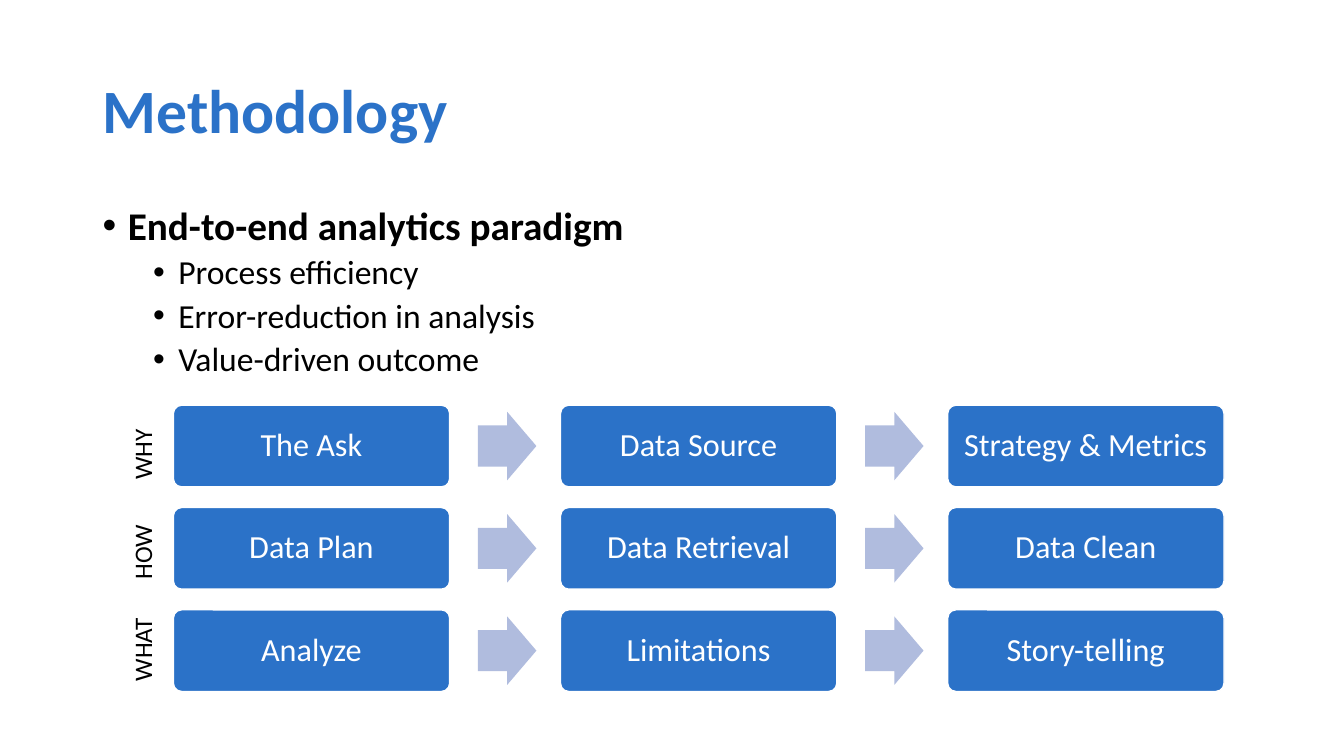
from lxml.etree import SubElement
from pptx import Presentation
from pptx.dml.color import RGBColor
from pptx.enum.shapes import MSO_SHAPE
from pptx.enum.text import MSO_ANCHOR, PP_ALIGN
from pptx.oxml.ns import qn
from pptx.util import Inches, Pt

BLUE = RGBColor(0x2B, 0x72, 0xC8)
PALE_BLUE = RGBColor(0xB0, 0xBC, 0xDE)
BLACK = RGBColor(0, 0, 0)
WHITE = RGBColor(0xFF, 0xFF, 0xFF)

BENEFITS = ["Process efficiency", "Error-reduction in analysis", "Value-driven outcome"]
STAGES = [
    ("WHY", 0.71, ["The Ask", "Data Source", "Strategy & Metrics"]),
    ("HOW", 0.75, ["Data Plan", "Data Retrieval", "Data Clean"]),
    ("WHAT", 0.83, ["Analyze", "Limitations", "Story-telling"]),
]
STEP_LEFT, STEP_TOP = 1.72, 4.02
STEP_WIDTH, STEP_HEIGHT = 2.74, 0.81
COLUMN_PITCH, ROW_PITCH = 3.84, 2.03 / 2
ARROW_WIDTH, ARROW_HEIGHT = 0.58, 0.68
ARROW_OFFSET = 3.02
LABEL_CENTER_X, LABEL_CENTER_Y = 1.41, 4.5
LABEL_HEIGHT, LABEL_PITCH = 0.4, 0.97


def write(paragraph, text, size, color, bold=False):
    paragraph.text = text
    formats = {"name": "Calibri", "size": Pt(size), "bold": bold}
    for attribute, value in formats.items():
        setattr(paragraph.font, attribute, value)
    paragraph.font.color.rgb = color


def add_title(slide, text):
    title = slide.shapes.title
    box = {"left": 0.92, "top": 0.4, "width": 11.5, "height": 1.45}
    for attribute, value in box.items():
        setattr(title, attribute, Inches(value))
    title.text_frame.vertical_anchor = MSO_ANCHOR.MIDDLE
    heading = title.text_frame.paragraphs[0]
    write(heading, text, 44, BLUE, bold=True)
    heading.alignment = PP_ALIGN.LEFT
    heading.line_spacing = 0.9


def write_bullet(paragraph, text, indent, size, bold=False):
    properties = paragraph._p.get_or_add_pPr()
    properties.set("marL", str(Inches(indent)))
    properties.set("indent", str(Inches(-0.25)))
    SubElement(properties, qn("a:buFont"), typeface="Arial")
    SubElement(properties, qn("a:buChar"), char="•")
    write(paragraph, text, size, BLACK, bold)
    paragraph.line_spacing = 0.9


def add_benefits(slide):
    frame = slide.shapes.add_textbox(
        Inches(0.92), Inches(2), Inches(11.5), Inches(1.82)).text_frame
    frame.word_wrap = True
    write_bullet(frame.paragraphs[0], "End-to-end analytics paradigm", 0.25, 28, bold=True)
    for benefit in BENEFITS:
        paragraph = frame.add_paragraph()
        paragraph.level = 1
        write_bullet(paragraph, benefit, 0.75, 24)
        paragraph.space_before = Pt(5)


def add_filled(slide, preset, left, top, width, height, color, adjustments):
    shape = slide.shapes.add_shape(
        preset, Inches(left), Inches(top), Inches(width), Inches(height))
    for index, adjustment in enumerate(adjustments):
        shape.adjustments[index] = adjustment
    shape.shadow.inherit = False
    shape.fill.solid()
    shape.fill.fore_color.rgb = color
    shape.line.fill.background()
    return shape


def add_step(slide, text, left, top):
    step = add_filled(slide, MSO_SHAPE.ROUNDED_RECTANGLE, left, top,
                      STEP_WIDTH, STEP_HEIGHT, BLUE, [0.1])
    step.line.color.rgb = WHITE
    step.line.width = Pt(1)
    frame = step.text_frame
    frame.word_wrap = True
    frame.vertical_anchor = MSO_ANCHOR.MIDDLE
    for side in ("left", "top", "right", "bottom"):
        setattr(frame, f"margin_{side}", Inches(0.1))
    paragraph = frame.paragraphs[0]
    write(paragraph, text, 23, WHITE)
    paragraph.alignment = PP_ALIGN.CENTER
    paragraph.line_spacing = 0.9


def add_stage_label(slide, text, width, center_y):
    label = slide.shapes.add_textbox(
        Inches(LABEL_CENTER_X - width / 2), Inches(center_y - LABEL_HEIGHT / 2),
        Inches(width), Inches(LABEL_HEIGHT))
    label.rotation = 270
    label.text_frame.word_wrap = False
    write(label.text_frame.paragraphs[0], text, 18, BLACK)


def add_stage(slide, row, label, label_width, steps):
    top = STEP_TOP + row * ROW_PITCH
    arrow_top = top + (STEP_HEIGHT - ARROW_HEIGHT) / 2
    for column, step in enumerate(steps):
        left = STEP_LEFT + column * COLUMN_PITCH
        add_step(slide, step, left, top)
        if column < len(steps) - 1:
            add_filled(slide, MSO_SHAPE.RIGHT_ARROW, left + ARROW_OFFSET, arrow_top,
                       ARROW_WIDTH, ARROW_HEIGHT, PALE_BLUE, [0.6, 0.5])
    add_stage_label(slide, label, label_width, LABEL_CENTER_Y + row * LABEL_PITCH)


def main():
    presentation = Presentation()
    presentation.slide_width = Inches(13.33)
    presentation.slide_height = Inches(7.5)
    slide = presentation.slides.add_slide(presentation.slide_layouts[5])
    add_title(slide, "Methodology")
    add_benefits(slide)
    for row, stage in enumerate(STAGES):
        add_stage(slide, row, *stage)
    presentation.save("out.pptx")


if __name__ == "__main__":
    main()
